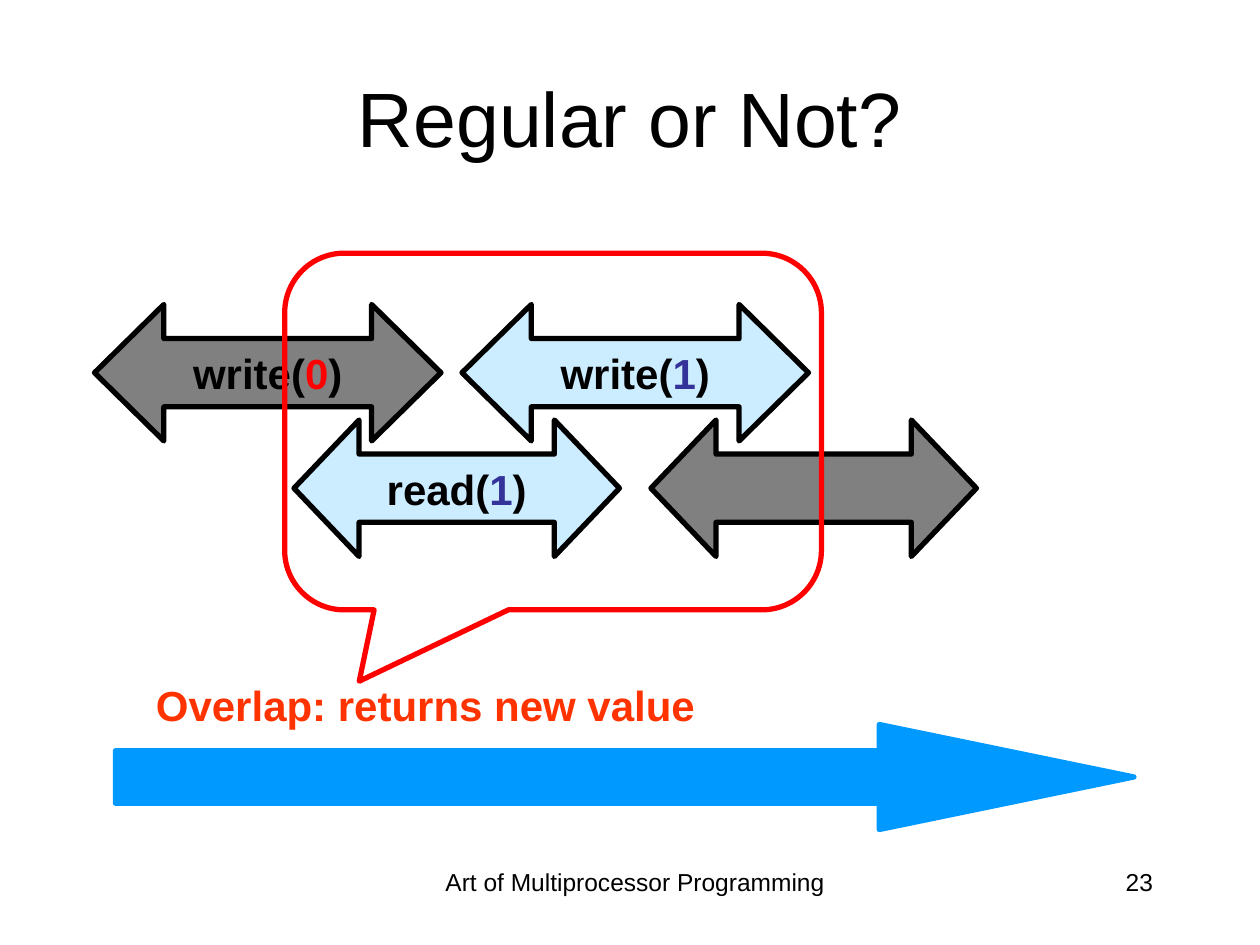
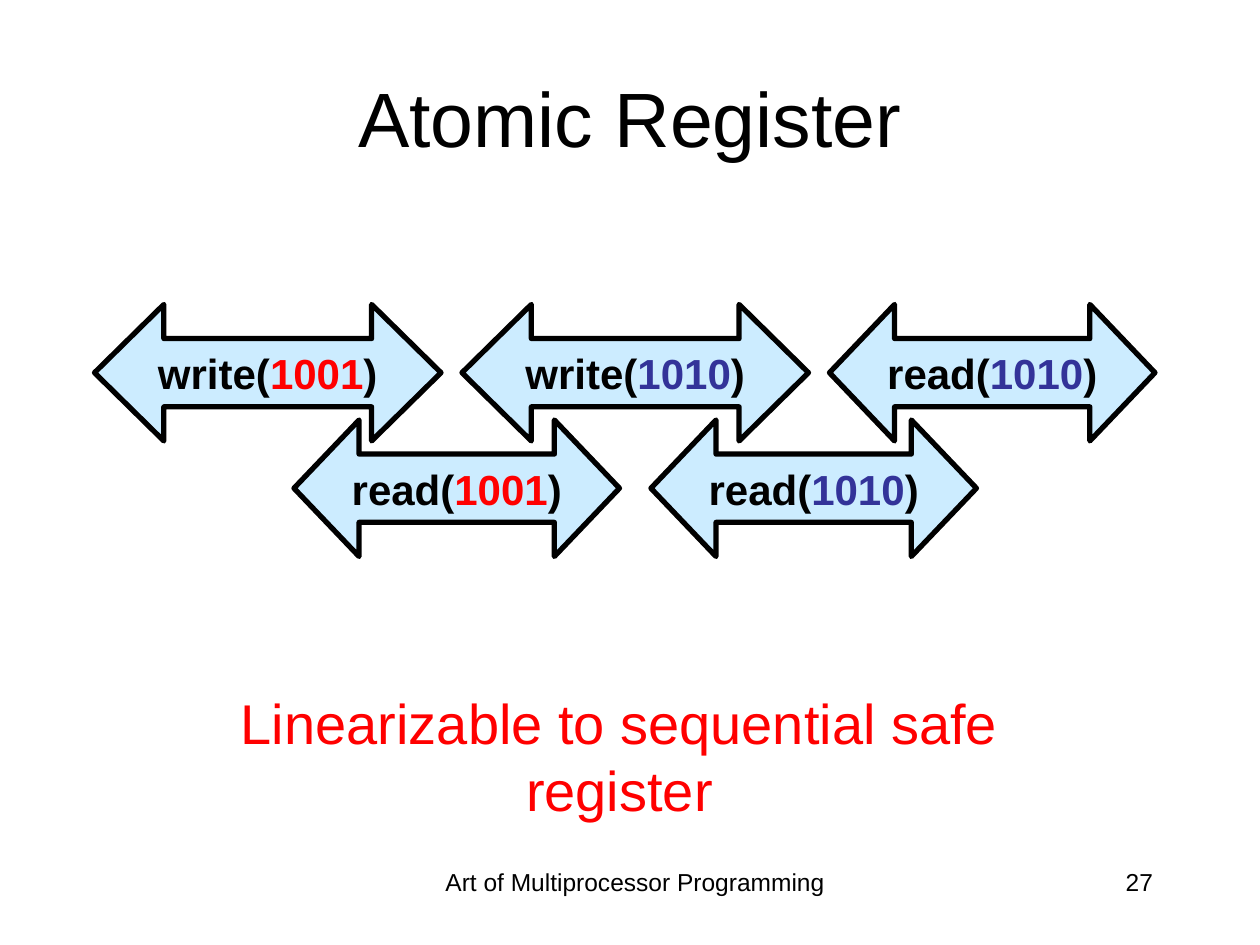
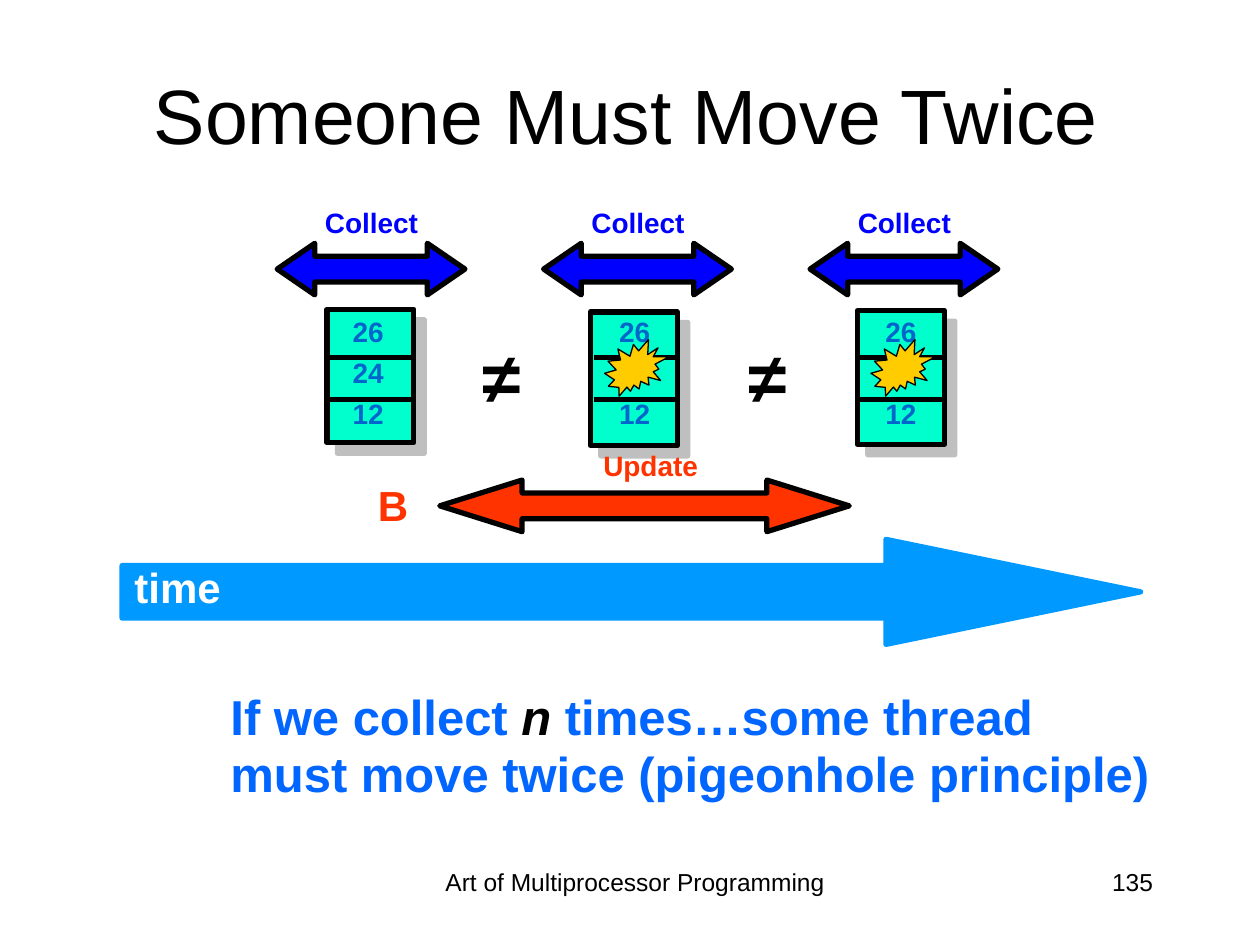
import dataclasses

import lxml.etree
import pptx
import pptx.dml.color
import pptx.enum.shapes
import pptx.enum.text
import pptx.oxml.ns
import pptx.util

Pt = pptx.util.Pt
Kind = pptx.enum.shapes.MSO_SHAPE
Align = pptx.enum.text.PP_ALIGN
Anchor = pptx.enum.text.MSO_ANCHOR
Fit = pptx.enum.text.MSO_AUTO_SIZE

FONT = "Arial"
BLACK, WHITE = "000000", "FFFFFF"
RED, INDIGO, ORANGE = "FF0000", "333399", "FF3300"
PALE, GRAY, SKY = "CCECFF", "808080", "0099FF"
BLUE, NAVY, BRIGHT = "0000FF", "0066CC", "0066FF"
MINT, GOLD = "00FFCC", "FFCC00"
FOOTER = "Art of Multiprocessor Programming"
STEP = 152.25  # distance between the columns of the collect slide


@dataclasses.dataclass
class Box:
    """A place on the slide, in points."""
    left: float
    top: float
    width: float
    height: float

    def spots(self) -> list:
        """Return the four lengths that python-pptx wants."""
        return [Pt(self.left), Pt(self.top), Pt(self.width), Pt(self.height)]


@dataclasses.dataclass
class Run:
    """A piece of text with its own colour."""
    text: str
    color: str = BLACK
    slant: bool = False


@dataclasses.dataclass
class Style:
    """How the paragraphs of one text look."""
    size: float
    bold: bool = False
    align: Align = Align.LEFT
    tight: bool = False


@dataclasses.dataclass
class Call:
    """A method call, drawn as a double arrow."""
    verb: str
    left: float
    row: int
    value: str = ""
    color: str = INDIGO
    fill: str = PALE


CALL = Style(24, True, Align.CENTER)
LABEL = Style(16, True, tight=True)
NOTE = Style(24, True, tight=True)
SPANS = {"write": (198, 0.508), "read": (186, 0.477)}


def hue(code: str) -> pptx.dml.color.RGBColor:
    """Turn a hex string into a colour."""
    return pptx.dml.color.RGBColor.from_string(code)


def write(frame, lines: list, style: Style) -> None:
    """Fill a text frame; each line is a list of runs."""
    for spot, runs in enumerate(lines):
        para = frame.add_paragraph() if spot else frame.paragraphs[0]
        para.alignment = style.align
        para.font.name, para.font.size = FONT, Pt(style.size)
        para.font.bold = style.bold
        if style.tight:
            para.line_spacing = 0.8
            para.space_before = Pt(style.size * 0.2)
        same = len({run.color for run in runs}) == 1
        if same:
            para.font.color.rgb = hue(runs[0].color)
        for run in runs:
            part = para.add_run()
            part.text = run.text
            if not same:
                part.font.color.rgb = hue(run.color)
            if run.slant:
                part.font.italic = True


def label(slide, box: Box, lines: list, style: Style,
          wrap: bool = False, grow: bool = True) -> None:
    """Add a text box."""
    frame = slide.shapes.add_textbox(*box.spots()).text_frame
    frame.word_wrap = wrap
    frame.auto_size = Fit.SHAPE_TO_FIT_TEXT if grow else Fit.NONE
    write(frame, lines, style)


def shape(slide, kind: Kind, box: Box, fill: str = "", line: str = BLACK,
          width: float = 3, bends: tuple = ()):
    """Add a preset shape; without a fill colour it stays hollow."""
    item = slide.shapes.add_shape(kind, *box.spots())
    item.shadow.inherit = False
    if fill:
        item.fill.solid()
        item.fill.fore_color.rgb = hue(fill)
    else:
        item.fill.background()
    item.line.color.rgb = hue(line)
    item.line.width = Pt(width)
    for spot, bend in enumerate(bends):
        item.adjustments[spot] = bend
    return item


def rule(slide, left: float, top: float, width: float) -> None:
    """Draw a level black line."""
    line = slide.shapes.add_connector(
        pptx.enum.shapes.MSO_CONNECTOR.STRAIGHT,
        Pt(left), Pt(top), Pt(left + width), Pt(top))
    line.line.color.rgb = hue(BLACK)
    line.line.width = Pt(3)
    lxml.etree.SubElement(line._element.spPr, pptx.oxml.ns.qn("a:effectLst"))


def shade(item) -> None:
    """Give a shape a half-clear grey shadow to the lower right."""
    tag = pptx.oxml.ns.qn
    effects = item._element.spPr.find(tag("a:effectLst"))
    outer = lxml.etree.SubElement(
        effects, tag("a:outerShdw"), dist=str(int(Pt(8.5))),
        dir="2700000", algn="ctr", rotWithShape="0")
    color = lxml.etree.SubElement(outer, tag("a:srgbClr"), val=GRAY)
    lxml.etree.SubElement(color, tag("a:alpha"), val="50000")


def page(deck, title: str, number: int, box: Box = Box(36, 21.6, 648, 90)):
    """Add a slide with its title, footer and number."""
    slide = deck.slides.add_slide(deck.slide_layouts[5])
    head = slide.shapes.title
    head.left, head.top, head.width, head.height = box.spots()
    head.text_frame.vertical_anchor = Anchor.MIDDLE
    write(head.text_frame, [[Run(title)]], Style(44, align=Align.CENTER))
    label(slide, Box(240, 492, 246, 37.5), [[Run(FOOTER)]],
          Style(14, align=Align.CENTER), True, False)
    label(slide, Box(516, 492, 150, 36), [[Run(str(number))]],
          Style(14, align=Align.RIGHT), True, False)
    return slide


def calls(slide, items: list) -> None:
    """Draw method calls on two rows."""
    for call in items:
        width, tip = SPANS[call.verb]
        item = shape(slide, Kind.LEFT_RIGHT_ARROW,
                     Box(call.left, 174 + 66 * call.row, width, 78),
                     call.fill, bends=(0.5, tip))
        if call.value:
            frame = item.text_frame
            frame.word_wrap = False
            frame.vertical_anchor = Anchor.MIDDLE
            write(frame, [[Run(call.verb + "("), Run(call.value, call.color),
                           Run(")")]], CALL)


def clock(slide, left: float, top: float, text: str = "") -> None:
    """Draw the broad time arrow."""
    item = shape(slide, Kind.RIGHT_ARROW, Box(left, top, 582, 60), SKY, SKY,
                 bends=(0.5, 2.425))
    if text:
        item.text_frame.word_wrap = True
        item.text_frame.vertical_anchor = Anchor.MIDDLE
        write(item.text_frame, [[Run(text, WHITE)]], NOTE)


def collect(slide, left: float, box: Box, values: list, burst: bool) -> None:
    """Draw one collect: its arrow, its memory cells and any burst."""
    shape(slide, Kind.LEFT_RIGHT_ARROW, Box(left, 139, 107.3, 29.5), BLUE,
          bends=(0.5, 0.729))
    label(slide, Box(left + 20.2, 117.4, 68.4, 23),
          [[Run("Collect", BLUE)]], LABEL)
    cells = shape(slide, Kind.RECTANGLE, box, MINT)
    cells.rotation = 270
    shade(cells)
    for top in (228.2, 204.5):
        rule(slide, left + 28.8, top, 49.3)
    for row, value in enumerate(values):
        if value:
            label(slide, Box(left + 36, 180 + 23.4 * row, 32.4, 23),
                  [[Run(value, NAVY)]], LABEL)
    if burst:
        shape(slide, Kind.EXPLOSION2, Box(left + 34.8, 194, 36.7, 32.4),
              GOLD, width=0.75)


def regular(deck) -> None:
    """Build the slide on regular registers."""
    slide = page(deck, "Regular or Not?", 23)
    calls(slide, [Call("write", 54, 0, "0", RED, GRAY),
                  Call("read", 168, 1, "1"),
                  Call("write", 264, 0, "1"),
                  Call("read", 372, 1, fill=GRAY)])
    clock(slide, 66, 414)
    shape(slide, Kind.ROUNDED_RECTANGULAR_CALLOUT,
          Box(162.7, 144.7, 306.7, 203.8), line=RED,
          bends=(-0.361, 0.7, 0.167))
    label(slide, Box(82, 390.2, 329, 30.2),
          [[Run("Overlap: returns new value", ORANGE)]], NOTE)


def atomic(deck) -> None:
    """Build the slide on atomic registers."""
    slide = page(deck, "Atomic Register", 27)
    calls(slide, [Call("write", 54, 0, "1001", RED),
                  Call("read", 168, 1, "1001", RED),
                  Call("write", 264, 0, "1010"),
                  Call("read", 372, 1, "1010"),
                  Call("read", 474, 0, "1010")])
    label(slide, Box(90, 390, 528, 84),
          [[Run("Linearizable to sequential safe register", RED)]],
          Style(32, align=Align.CENTER), True)


def twice(deck) -> None:
    """Build the slide on repeated collects."""
    slide = page(deck, "Someone Must Move Twice", 135, Box(52, 20, 612, 90))
    clock(slide, 69.8, 308.2, "time")
    shape(slide, Kind.LEFT_RIGHT_ARROW, Box(251.3, 274.3, 234, 29.5), ORANGE,
          bends=(0.5, 1.595))
    spots = [(173.5, 190), (324, 191.5), (476.6, 190.8)]
    for turn, (left, top) in enumerate(spots):
        values = ["26", "" if turn else "24", "12"]
        collect(slide, 158.4 + STEP * turn, Box(left, top, 76.3, 49.7),
                values, turn > 0)
    for turn in range(2):
        label(slide, Box(268.6 + STEP * turn, 187.2, 36.7, 55.4),
              [[Run("≠")]], Style(40, True))
    label(slide, Box(337.7, 256.3, 69.8, 22.3), [[Run("Update", ORANGE)]],
          LABEL)
    label(slide, Box(208.8, 275.8, 32.4, 30.2), [[Run("B", ORANGE)]], NOTE)
    label(slide, Box(124.6, 395.3, 553.7, 68.4),
          [[Run("If we collect ", BRIGHT), Run("n ", slant=True),
            Run("times…some thread", BRIGHT)],
           [Run("must move twice (pigeonhole principle)", BRIGHT)]],
          Style(28, True, tight=True))


def main() -> None:
    """Build and save the deck."""
    deck = pptx.Presentation()
    deck.slide_width, deck.slide_height = Pt(720), Pt(540)
    for build in (regular, atomic, twice):
        build(deck)
    deck.save("out.pptx")


main()
